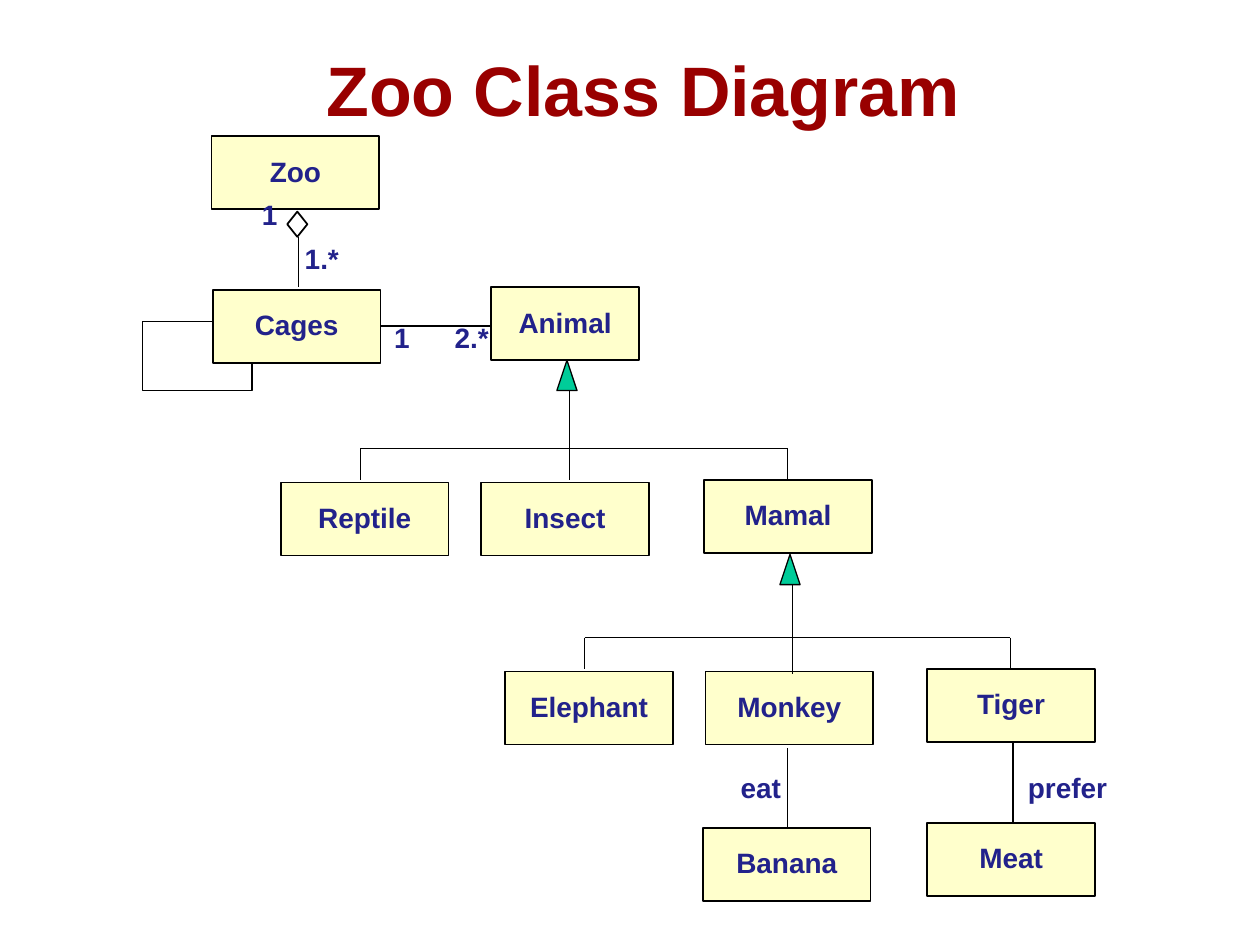
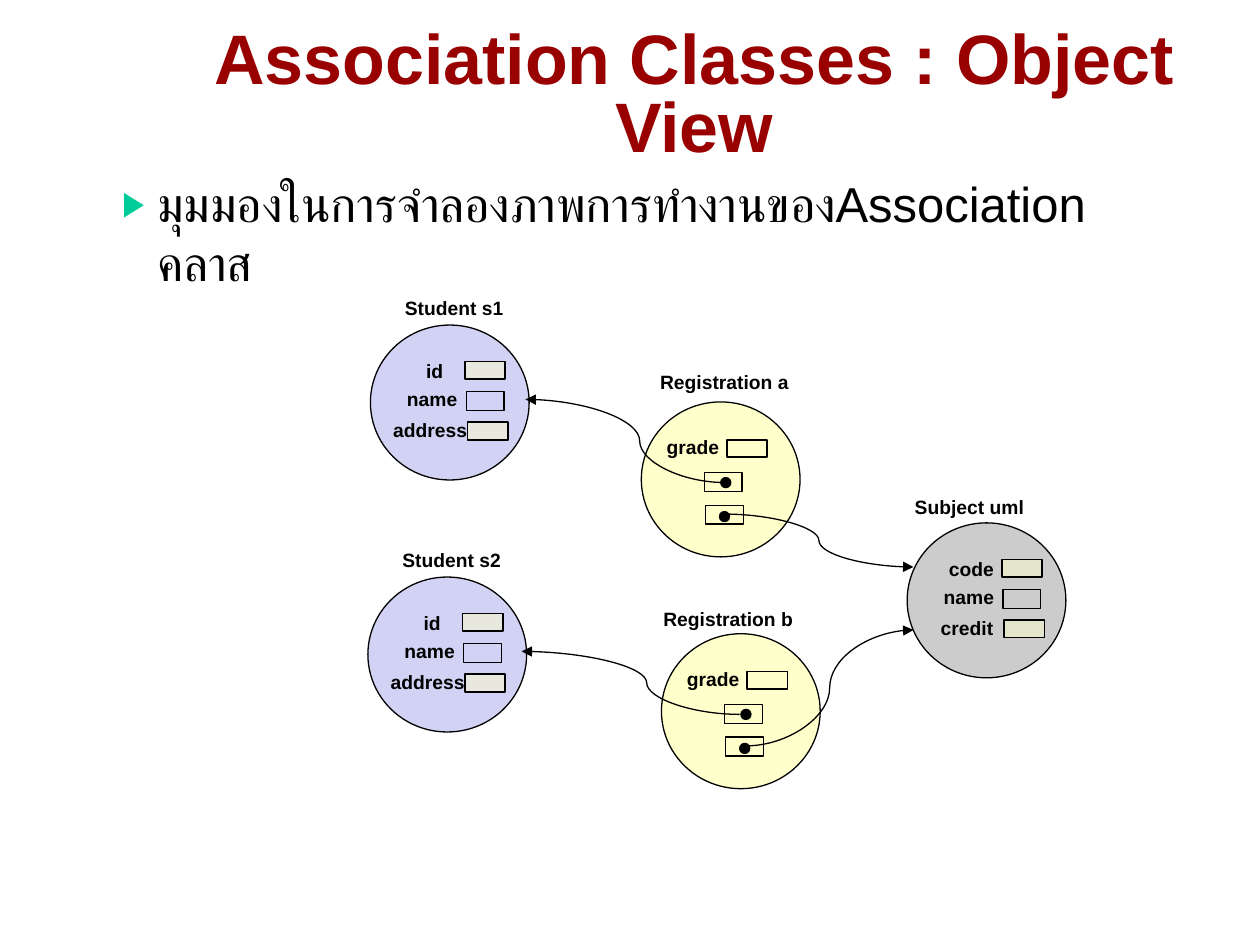
from lxml import etree
from pptx import Presentation
from pptx.dml.color import RGBColor
from pptx.enum.shapes import MSO_CONNECTOR, MSO_SHAPE
from pptx.enum.text import MSO_ANCHOR, MSO_AUTO_SIZE, PP_ALIGN
from pptx.oxml.ns import qn
from pptx.util import Emu, Pt

PX = 9144
FONT = "Arial"
COLORS = {
    "title": "990000",
    "label": "22228B",
    "ink": "000000",
    "class": "FFFFCC",
    "accent": "00CC99",
    "student": "D2D2F4",
    "subject": "CCCCCC",
}
RECTANGLE, OVAL = MSO_SHAPE.RECTANGLE, MSO_SHAPE.OVAL
DIAMOND, TRIANGLE = MSO_SHAPE.DIAMOND, MSO_SHAPE.ISOSCELES_TRIANGLE
STRAIGHT, CURVE = MSO_CONNECTOR.STRAIGHT, MSO_CONNECTOR.CURVE
LEFT, CENTER = PP_ALIGN.LEFT, PP_ALIGN.CENTER
TOP, MIDDLE = MSO_ANCHOR.TOP, MSO_ANCHOR.MIDDLE
NO_AUTOFIT = MSO_AUTO_SIZE.NONE

CLASSES = [
    ("Zoo", 168, 108, 133),
    ("Cages", 169, 230, 133),
    ("Animal", 390, 228, 117),
    ("Reptile", 223, 383, 133),
    ("Insect", 382, 383, 133),
    ("Mamal", 559, 381, 133),
    ("Elephant", 401, 533, 133),
    ("Monkey", 560, 533, 133),
    ("Tiger", 736, 531, 133),
    ("Banana", 558, 657, 133),
    ("Meat", 736, 653, 133),
]
ASSOCIATIONS = [
    (237, 188, 237, 228, 0.75),
    (302, 259, 389, 259, 1),
    (625, 594, 625, 657, 0.75),
    (804, 590, 804, 653, 0.75),
]
ASSOCIATION_LABELS = [
    ("1", 198, 154, 39),
    ("1.*", 232, 189, 62),
    ("1", 303, 252, 30),
    ("2.*", 351, 252, 62),
    ("eat", 578, 609, 55),
    ("prefer", 806, 609, 102),
]
HEADINGS = [
    ("Student s1", 311, 231, 99, 27, CENTER),
    ("Registration a", 517, 287, 116, 32, CENTER),
    ("Student s2", 309, 431, 99, 27, CENTER),
    ("Registration b", 523, 475, 110, 32, CENTER),
    ("Subject uml", 723, 388, 119, 29, LEFT),
]
RECORDS = [
    (294, 258, "student", ("id", "name", "address")),
    (292, 458, "student", ("id", "name", "address")),
    (720, 415, "subject", ("code", "name", "credit")),
]
REGISTRATIONS = [(509, 319), (525, 503)]
REFERENCES = [
    (417, 317, 575, 383, "headEnd", 57400),
    (575, 408, 725, 450, "tailEnd", 50000),
    (414, 517, 587, 567, "headEnd", 57400),
    (592, 592, 725, 500, "tailEnd", 50000),
]


def px(*lengths):
    return [Emu(length * PX) for length in lengths]


def rgb(name):
    return RGBColor.from_string(COLORS[name])


def write(box, text, size, color, bold=True, align=CENTER, spacing=None,
          anchor=MIDDLE, margins=(10, 5), wrap=True):
    frame = box.text_frame
    frame.auto_size = NO_AUTOFIT
    frame.word_wrap = wrap
    frame.vertical_anchor = anchor
    frame.margin_left = frame.margin_right = Emu(margins[0] * PX)
    frame.margin_top = frame.margin_bottom = Emu(margins[1] * PX)
    frame.text = text
    para = frame.paragraphs[0]
    para.alignment = align
    para.line_spacing = spacing
    para.font.name = FONT
    para.font.size = Pt(size)
    para.font.bold = bold
    para.font.color.rgb = rgb(color)
    return para


def add_text(page, text, area, size, color, **options):
    write(page.shapes.add_textbox(*px(*area)), text, size, color, **options)


def place(holder, area):
    holder.left, holder.top, holder.width, holder.height = px(*area)
    return holder


def add_title(page, text, area, margins):
    write(place(page.shapes.title, area), text, 40, "title",
          spacing=0.81, margins=margins)


def add_bullet(page, text, area):
    holder = place(page.placeholders[1], area)
    para = write(holder, text, 28, "ink", bold=False, align=LEFT, anchor=TOP)
    para.space_before = Pt(4)
    props = para._p.get_or_add_pPr()
    props.set("marL", str(40 * PX))
    props.set("indent", str(-28 * PX))
    color = etree.Element(qn("a:buClr"))
    etree.SubElement(color, qn("a:srgbClr"), val=COLORS["accent"])
    size = etree.Element(qn("a:buSzPct"), val="70000")
    mark = etree.Element(qn("a:buChar"), char="▶")
    defaults = props.find(qn("a:defRPr"))
    for item in (color, size, mark):
        defaults.addprevious(item)


def add_figure(page, kind, area, fill=None, weight=0.75, alpha=None):
    shape = page.shapes.add_shape(kind, *px(*area))
    shape.shadow.inherit = False
    if fill:
        shape.fill.solid()
        shape.fill.fore_color.rgb = rgb(fill)
    else:
        shape.fill.background()
    if alpha:
        color = next(shape.element.spPr.iter(qn("a:srgbClr")))
        etree.SubElement(color, qn("a:alpha"), val=str(alpha * 1000))
    shape.line.color.rgb = rgb("ink")
    shape.line.width = Pt(weight)
    return shape


def add_line(page, points, weight=0.75, kind=STRAIGHT):
    line = page.shapes.add_connector(kind, *px(*points))
    line.line.color.rgb = rgb("ink")
    line.line.width = Pt(weight)
    etree.SubElement(line.element.spPr, qn("a:effectLst"))
    return line


def add_reference(page, points, arrow_end, bend):
    props = add_line(page, points, kind=CURVE).element.spPr
    etree.SubElement(props.find(qn("a:ln")), qn(f"a:{arrow_end}"), type="triangle")
    guides = next(props.iter(qn("a:avLst")))
    etree.SubElement(guides, qn("a:gd"), name="adj1", fmla=f"val {bend}")


def add_class(page, name, left, top, width):
    box = add_figure(page, RECTANGLE, (left, top, width, 58), "class", 1)
    write(box, name, 16, "label", spacing=0.93, wrap=False)


def add_inheritance(page, left, top, bus, start, end):
    add_figure(page, TRIANGLE, (left, top, 16, 24), "accent")
    stem = left + 10
    add_line(page, (stem, top + 24, stem, top + 95))
    add_line(page, (start, bus, end, bus))
    for branch in (start, end):
        add_line(page, (branch, bus, branch, bus + 25))


def add_field_name(page, text, area):
    add_text(page, text, area, 11, "ink", margins=(3, 0))


def add_slot(page, left, top):
    add_figure(page, RECTANGLE, (left, top, 32, 14), "class", 1, alpha=50)


def add_circle(page, left, top, fill):
    add_figure(page, OVAL, (left, top, 126, 123), fill)


def add_record(page, left, top, fill, names):
    add_circle(page, left, top, fill)
    add_slot(page, left + 75, top + 29)
    add_figure(page, RECTANGLE, (left + 76, top + 53, 30, 15))
    add_slot(page, left + 77, top + 77)
    places = [(26, 24, 50, 25), (24, 46, 50, 25), (14, 67, 67, 33)]
    for name, (dx, dy, width, height) in zip(names, places):
        add_field_name(page, name, (left + dx, top + dy, width, height))


def add_registration(page, left, top):
    add_circle(page, left, top, "class")
    add_slot(page, left + 68, top + 30)
    add_field_name(page, "grade", (left + 16, top + 23, 50, 25))
    for box_x, box_y, dot_x, dot_y in ((50, 56, 63, 60), (51, 82, 62, 87)):
        add_figure(page, RECTANGLE, (left + box_x, top + box_y, 30, 15))
        add_figure(page, OVAL, (left + dot_x, top + dot_y, 8, 8), "ink")


def build_zoo(deck):
    page = deck.slides.add_slide(deck.slide_layouts[5])
    add_title(page, "Zoo Class Diagram", (177, 14, 667, 125), (10, 5))
    add_figure(page, RECTANGLE, (113, 255, 87, 55))
    for item in CLASSES:
        add_class(page, *item)
    add_figure(page, DIAMOND, (228, 168, 16, 20), weight=1)
    for *points, weight in ASSOCIATIONS:
        add_line(page, points, weight)
    add_inheritance(page, 442, 286, 356, 286, 625)
    add_inheritance(page, 619, 440, 506, 464, 802)
    for text, left, top, width in ASSOCIATION_LABELS:
        add_text(page, text, (left, top, width, 35), 16, "label",
                 align=LEFT, spacing=0.93, anchor=TOP)


def build_association(deck):
    page = deck.slides.add_slide(deck.slide_layouts[1])
    add_title(page, "Association Classes : Object View",
              (124, 21, 854, 113), (0, 0))
    add_bullet(page, "มุมมองในการจำลองภาพการทำงานของAssociation คลาส",
               (75, 133, 833, 67))
    for record in RECORDS:
        add_record(page, *record)
    for corner in REGISTRATIONS:
        add_registration(page, *corner)
    for text, *area, align in HEADINGS:
        add_text(page, text, area, 11, "ink", align=align, margins=(3, 0))
    for *points, arrow_end, bend in REFERENCES:
        add_reference(page, points, arrow_end, bend)


def main():
    deck = Presentation()
    deck.slide_width, deck.slide_height = px(1000, 750)
    build_zoo(deck)
    build_association(deck)
    deck.save("out.pptx")


if __name__ == "__main__":
    main()
